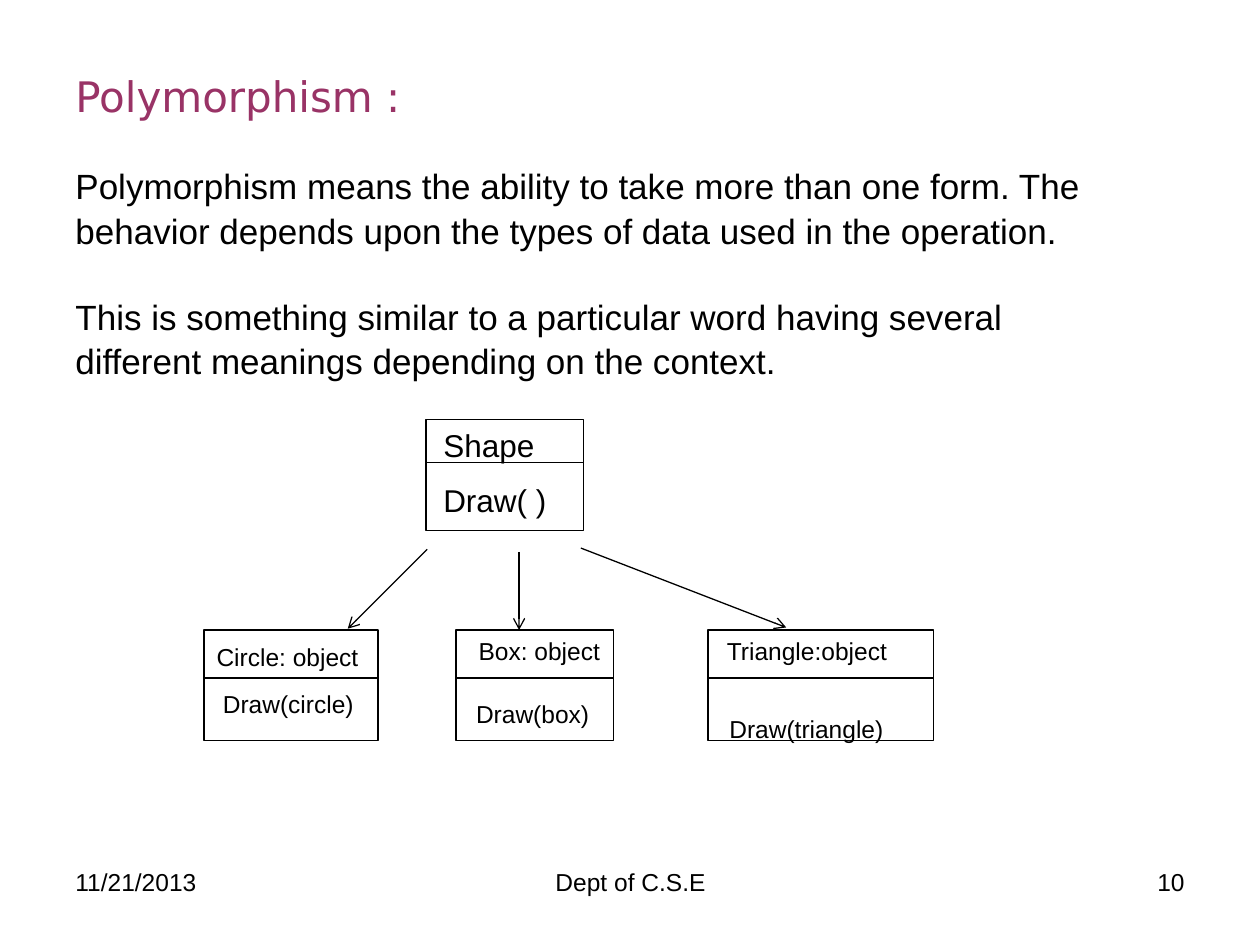
from dataclasses import dataclass

from lxml import etree
from pptx import Presentation
from pptx.dml.color import RGBColor
from pptx.enum.shapes import MSO_CONNECTOR, MSO_SHAPE
from pptx.enum.text import MSO_ANCHOR, PP_ALIGN
from pptx.oxml.ns import qn
from pptx.slide import Slide
from pptx.util import Inches, Pt

LEFT, CENTER, RIGHT = PP_ALIGN.LEFT, PP_ALIGN.CENTER, PP_ALIGN.RIGHT
TOP, MIDDLE = MSO_ANCHOR.TOP, MSO_ANCHOR.MIDDLE
RECTANGLE = MSO_SHAPE.RECTANGLE
STRAIGHT = MSO_CONNECTOR.STRAIGHT


def color(hex_code):
    return RGBColor.from_string(hex_code)


def write(paragraph, text, size=14, font="Arial", ink="000000", align=LEFT,
          before=0, spacing=None):
    paragraph.alignment = align
    paragraph.space_before = Pt(before)
    if spacing:
        paragraph.line_spacing = spacing
    run = paragraph.add_run()
    run.text = text
    run.font.size = Pt(size)
    run.font.name = font
    run.font.color.rgb = color(ink)


@dataclass
class Diagram:
    slide: Slide
    ink: str = "000000"
    paper: str = "FFFFFF"
    line_width: float = 0.75

    def text(self, left, top, width, height, *entries, anchor=TOP):
        box = self.slide.shapes.add_textbox(
            Inches(left), Inches(top), Inches(width), Inches(height))
        frame = box.text_frame
        frame.word_wrap = True
        frame.vertical_anchor = anchor
        for index, (content, style) in enumerate(entries):
            paragraph = frame.add_paragraph() if index else frame.paragraphs[0]
            write(paragraph, content, **style)

    def line(self, start, end, arrow=False):
        connector = self.slide.shapes.add_connector(
            STRAIGHT, *(Inches(value) for value in (*start, *end)))
        connector.line.color.rgb = color(self.ink)
        connector.line.width = Pt(self.line_width)
        if arrow:
            outline = connector.line._get_or_add_ln()
            etree.SubElement(outline, qn("a:tailEnd"), type="arrow")
        etree.SubElement(connector._element.spPr, qn("a:effectLst"))

    def class_box(self, left, top, width, divider, height=0.88):
        frame = self.slide.shapes.add_shape(
            RECTANGLE, Inches(left), Inches(top), Inches(width), Inches(height))
        frame.shadow.inherit = False
        frame.fill.solid()
        frame.fill.fore_color.rgb = color(self.paper)
        frame.line.color.rgb = color(self.ink)
        frame.line.width = Pt(self.line_width)
        self.line((left, top + divider), (left + width, top + divider))


def main():
    presentation = Presentation()
    presentation.slide_width = Inches(10)
    presentation.slide_height = Inches(7.5)
    diagram = Diagram(presentation.slides.add_slide(presentation.slide_layouts[6]))

    body = {"size": 20, "before": 24, "spacing": 1.05}
    diagram.text(
        0.5, 0.49, 8.28, 3.17,
        ("Polymorphism :", {"size": 24, "font": "DejaVu Sans", "ink": "993366",
                            "spacing": 1.05}),
        ("Polymorphism means the ability to take more than one form. The "
         "behavior depends upon the types of data used in the operation.", body),
        ("This is something similar to a particular word having several "
         "different meanings depending on the context.", body))

    diagram.class_box(3.38, 3.33, 1.25, divider=0.34)
    for left, width in ((1.62, 1.38), (3.62, 1.25), (5.62, 1.79)):
        diagram.class_box(left, 5, width, divider=0.38)

    for start, end in (((3.39, 4.36), (2.76, 4.99)),
                       ((4.12, 4.38), (4.12, 5)),
                       ((4.61, 4.35), (6.24, 4.98))):
        diagram.line(start, end, arrow=True)

    for label, left, top, width in (("Shape", 3.42, 3.33, 0.99),
                                    ("Draw( )", 3.42, 3.77, 1.06)):
        diagram.text(left, top, width, 0.4, (label, {"size": 18}), anchor=MIDDLE)

    for label, left, top, width in (("Circle: object", 1.62, 5.05, 1.38),
                                    ("Draw(circle)", 1.67, 5.42, 1.29),
                                    ("Box: object", 3.7, 5, 1.22),
                                    ("Draw(box)", 3.68, 5.5, 1.2),
                                    ("Triangle:object", 5.67, 5, 1.55),
                                    ("Draw(triangle)", 5.69, 5.62, 1.47)):
        diagram.text(left, top, width, 0.33, (label, {}), anchor=MIDDLE)

    for label, left, width, align in (("11/21/2013", 0.5, 2.33, LEFT),
                                      ("Dept of C.S.E", 3.42, 3.17, CENTER),
                                      ("10", 7.17, 2.33, RIGHT)):
        diagram.text(left, 6.83, width, 0.52, (label, {"align": align}))

    presentation.save("out.pptx")


if __name__ == "__main__":
    main()
